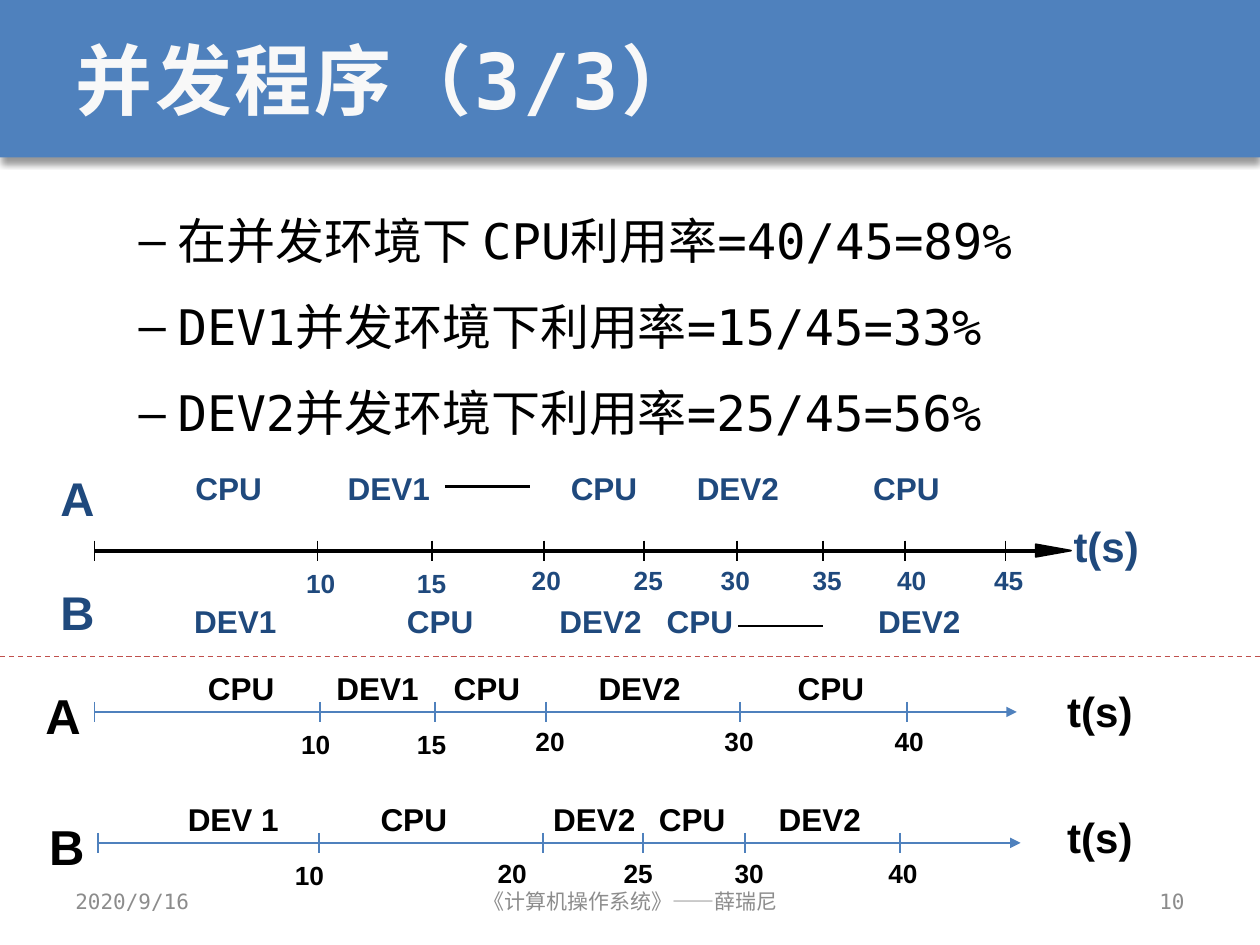
import pptx
import pptx.dml.color
import pptx.enum.dml
import pptx.enum.shapes
import pptx.enum.text
import pptx.oxml
import pptx.oxml.ns
import pptx.util
from pptx.util import Inches

MONO = "DejaVu Sans Mono"
NAVY, BLUE, RED, BLACK, GREY = "1F497D", "4F81BD", "C0504D", "000000", "8C8C8C"
LEFT, CENTER, RIGHT = (pptx.enum.text.PP_ALIGN[name] for name in ("LEFT", "CENTER", "RIGHT"))
MIDDLE = pptx.enum.text.MSO_ANCHOR.MIDDLE
LABEL_WIDTHS = {"CPU": 0.55, "DEV1": 0.68, "DEV2": 0.68, "DEV 1": 0.75, "t(s)": 0.55}


def color(value):
    """Turn a hex string into a colour."""
    return pptx.dml.color.RGBColor.from_string(value)


def add_xml(parent, tag, **attributes):
    """Append a drawing element to a parent and return it."""
    element = pptx.oxml.parse_xml(f"<a:{tag} {pptx.oxml.ns.nsdecls('a')}/>")
    for name, value in attributes.items():
        element.set(name, str(value))
    parent.append(element)
    return element


def write_text(paragraph, text, size=18, font="Arial", fill=BLACK, bold=False,
               align=LEFT, spacing=None):
    """Write one formatted run into a paragraph."""
    paragraph.alignment = align
    run = paragraph.add_run()
    run.text = text
    run.font.size = pptx.util.Pt(size)
    run.font.bold = bold
    run.font.color.rgb = color(fill)
    run.font.name = font
    if spacing:
        run.font._element.set("spc", str(spacing))


def add_label(shapes, text, left, top, width, size=18, fill=BLACK):
    """Add a bold one-line label without margins."""
    box = shapes.add_textbox(Inches(left), Inches(top), Inches(width), Inches(size / 60))
    frame = box.text_frame
    frame.margin_left = frame.margin_right = frame.margin_top = frame.margin_bottom = 0
    frame.word_wrap = False
    frame.auto_size = pptx.enum.text.MSO_AUTO_SIZE.SHAPE_TO_FIT_TEXT
    write_text(frame.paragraphs[0], text, size=size, fill=fill, bold=True)


def add_line(shapes, start, end, fill, width, arrow=False, dashed=False):
    """Add a straight line between two points."""
    line = shapes.add_connector(pptx.enum.shapes.MSO_CONNECTOR.STRAIGHT,
                                *(Inches(value) for value in (*start, *end)))
    line.line.color.rgb = color(fill)
    line.line.width = pptx.util.Pt(width)
    if dashed:
        line.line.dash_style = pptx.enum.dml.MSO_LINE.DASH
    if arrow:
        add_xml(line.line._get_or_add_ln(), "tailEnd", type="triangle")
    add_xml(line._element.spPr, "effectLst")


def add_header(slide, left, top, width, height):
    """Draw the title band and fill the title placeholder."""
    band = slide.shapes.add_shape(pptx.enum.shapes.MSO_SHAPE.RECTANGLE, Inches(left),
                                  Inches(top), Inches(width), Inches(height))
    band.fill.solid()
    band.fill.fore_color.rgb = color(BLUE)
    band.line.fill.background()
    effects = add_xml(band._element.spPr, "effectLst")
    shadow = add_xml(effects, "outerShdw", blurRad=pptx.util.Pt(4), dist=pptx.util.Pt(3),
                     dir=5400000, algn="t", rotWithShape=0)
    add_xml(add_xml(shadow, "srgbClr", val=BLACK), "alpha", val=40000)
    slide.shapes._spTree.insert(2, band._element)
    title = slide.shapes.title
    title.left, title.top = Inches(left + 0.5), Inches(top)
    title.width, title.height = Inches(width - 1), Inches(height)
    title.text_frame.vertical_anchor = MIDDLE
    write_text(title.text_frame.paragraphs[0], "并发程序（3/3）", size=44, font=MONO,
               fill="F8F8F8", bold=True, spacing=150)


def add_body(slide, left, top, width, height):
    """Fill the body placeholder with the utilisation list."""
    body = slide.placeholders[1]
    body.left, body.top = Inches(left), Inches(top)
    body.width, body.height = Inches(width), Inches(height)
    frame = body.text_frame
    lines = ("在并发环境下 CPU利用率=40/45=89%", "DEV1并发环境下利用率=15/45=33%",
             "DEV2并发环境下利用率=25/45=56%")
    for index, line in enumerate(lines):
        paragraph = frame.add_paragraph() if index else frame.paragraphs[0]
        paragraph.level = 1
        paragraph.line_spacing = 1.3
        paragraph.space_before = pptx.util.Pt(5.6 if index else 0)
        properties = paragraph._p.get_or_add_pPr()
        properties.set("marL", str(Inches(0.81)))
        properties.set("indent", str(Inches(-0.31)))
        add_xml(properties, "buChar", char="–")
        write_text(paragraph, line, size=28, font=MONO)


def add_stages(shapes, left, top, stages, fill):
    """Add the resource labels of one program in a row."""
    for text, offset in stages:
        add_label(shapes, text, left + offset, top, LABEL_WIDTHS[text], fill=fill)


def add_ticks(shapes, left, top, ticks, line_fill, text_fill, width):
    """Add the origin mark and the numbered time marks of an axis."""
    for text, offset, text_offset in [("", 0, 0), *ticks]:
        x = left + offset
        add_line(shapes, (x, top - 0.08), (x, top + 0.08), line_fill, width)
        if text:
            text_top = top + (0.13 if text in ("10", "15") else 0.11)
            add_label(shapes, text, left + text_offset, text_top, 0.27, 15, text_fill)


def add_shared_timeline(slide, left, top):
    """Draw programs A and B running together above and below one axis."""
    shapes = slide.shapes.add_group_shape().shapes
    add_line(shapes, (left, top), (left + 7.47, top), BLACK, 2.25)
    tip = left + 7.75
    builder = shapes.build_freeform(Inches(tip - 0.28), Inches(top - 0.05))
    builder.add_line_segments([(Inches(tip), Inches(top)),
                               (Inches(tip - 0.28), Inches(top + 0.05))], close=True)
    arrow = builder.convert_to_shape()
    arrow.shadow.inherit = False
    arrow.fill.solid()
    arrow.fill.fore_color.rgb = color(BLACK)
    arrow.line.color.rgb = color(BLACK)
    arrow.line.width = pptx.util.Pt(1)
    add_ticks(shapes, left, top, [
        ("10", 1.77, 1.68), ("15", 2.68, 2.56), ("20", 3.57, 3.47), ("25", 4.36, 4.28),
        ("30", 5.1, 4.97), ("35", 5.78, 5.7), ("40", 6.43, 6.37), ("45", 7.23, 7.14)],
        BLACK, NAVY, 1)
    rows = (
        ("A", -0.65, -0.65, [("CPU", 0.8), ("DEV1", 2.01), ("CPU", 3.78), ("DEV2", 4.78),
                             ("CPU", 6.18)], (2.78, 3.46, -0.51)),
        ("B", 0.26, 0.41, [("DEV1", 0.79), ("CPU", 2.48), ("DEV2", 3.69), ("CPU", 4.54),
                           ("DEV2", 6.22)], (5.11, 5.78, 0.6)))
    for name, name_y, stage_y, stages, (wait_start, wait_end, wait_y) in rows:
        add_label(shapes, name, left - 0.27, top + name_y, 0.28, 27, NAVY)
        add_stages(shapes, left, top + stage_y, stages, NAVY)
        add_line(shapes, (left + wait_start, top + wait_y),
                 (left + wait_end, top + wait_y), BLACK, 1.5)
    add_label(shapes, "t(s)", left + 7.77, top - 0.24, LABEL_WIDTHS["t(s)"], 24, NAVY)


def add_single_timeline(shapes, left, top, name, stages, ticks, unit_top):
    """Draw the timeline of one program running alone."""
    add_line(shapes, (left, top), (left + 7.32, top), BLUE, 1.13, arrow=True)
    add_ticks(shapes, left, top, ticks, BLUE, BLACK, 1.13)
    add_stages(shapes, left, top - 0.34, stages, BLACK)
    add_label(shapes, name, left - 0.39, top - 0.21, 0.29, 28)
    add_label(shapes, "t(s)", 8.47, unit_top, LABEL_WIDTHS["t(s)"], 24)


def add_footer(slide, top, height):
    """Add the date, the course name and the page number."""
    for text, left, width, align in (("2020/9/16", 0.5, 2.33, LEFT),
                                     ("《计算机操作系统》——薛瑞尼", 3.42, 3.17, CENTER),
                                     ("10", 7.17, 2.33, RIGHT)):
        box = slide.shapes.add_textbox(Inches(left), Inches(top), Inches(width),
                                       Inches(height))
        box.text_frame.word_wrap = True
        box.text_frame.vertical_anchor = MIDDLE
        write_text(box.text_frame.paragraphs[0], text, size=12, font=MONO, fill=GREY,
                   align=align)


def main():
    """Build the slide and save it."""
    presentation = pptx.Presentation()
    presentation.slide_width, presentation.slide_height = Inches(10), Inches(7.5)
    slide = presentation.slides.add_slide(presentation.slide_layouts[1])
    add_header(slide, 0, 0, 10, 1.25)
    add_body(slide, 0.5, 1.48, 9, 5.33)
    add_shared_timeline(slide, 0.75, 4.37)
    add_footer(slide, 6.95, 0.4)
    single_shapes = slide.shapes.add_group_shape().shapes
    add_single_timeline(single_shapes, 0.75, 5.65, "A", [
        ("CPU", 0.9), ("DEV1", 1.92), ("CPU", 2.85), ("DEV2", 4), ("CPU", 5.58)], [
        ("10", 1.79, 1.64), ("15", 2.7, 2.56), ("20", 3.58, 3.5), ("30", 5.12, 5),
        ("40", 6.45, 6.35)], 5.44)
    add_single_timeline(single_shapes, 0.78, 6.69, "B", [
        ("DEV 1", 0.71), ("CPU", 2.24), ("DEV2", 3.61), ("CPU", 4.45), ("DEV2", 5.4)], [
        ("10", 1.75, 1.56), ("20", 3.53, 3.17), ("25", 4.32, 4.17), ("30", 5.13, 5.05),
        ("40", 6.36, 6.27)], 6.44)
    add_line(slide.shapes, (0, 5.21), (10, 5.21), RED, 0.75, dashed=True)
    presentation.save("out.pptx")


if __name__ == "__main__":
    main()
